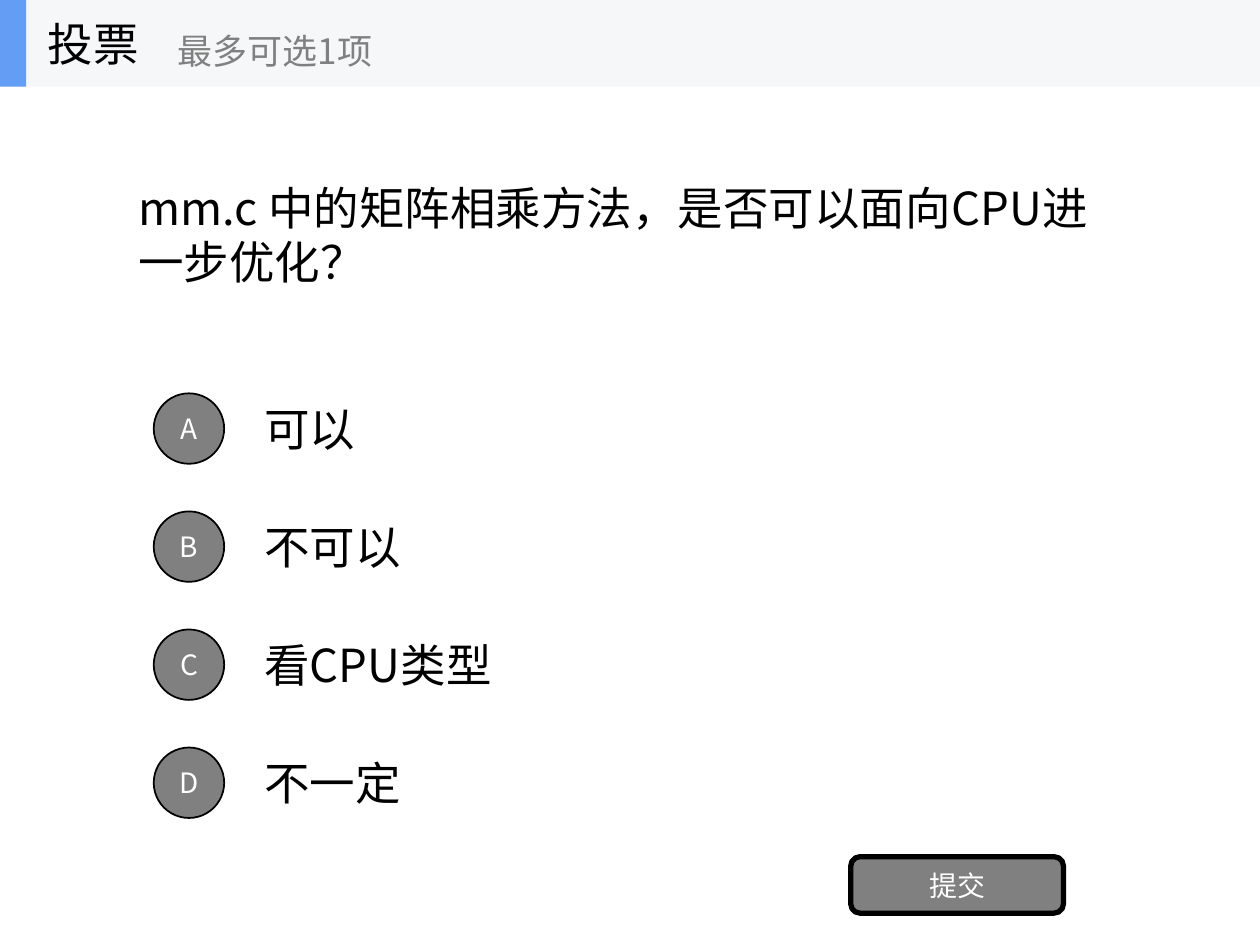
from pptx import Presentation
from pptx.dml.color import RGBColor
from pptx.enum.shapes import MSO_SHAPE as Preset
from pptx.enum.text import MSO_ANCHOR as Anchor, PP_ALIGN as Align
from pptx.oxml.ns import qn
from pptx.util import Cm, Pt
from lxml.etree import SubElement

FONT = "Noto Sans CJK SC"
BLACK, WHITE, GRAY = "000000", "FFFFFF", "808080"
OPTIONS = ["可以", "不可以", "看CPU类型", "不一定"]
OPTION_TOP, OPTION_HEIGHT, OPTION_PITCH = 7.75, 1.78, 2.38
BADGE_SIZE = 1.42
HEADER_HEIGHT = 1.75


def color(hex_value):
    return RGBColor.from_string(hex_value)


def write(frame, wording, size, hex_value, align=Align.LEFT):
    frame.word_wrap = True
    frame.vertical_anchor = Anchor.MIDDLE
    paragraph = frame.paragraphs[0]
    paragraph.alignment = align
    run = paragraph.add_run()
    run.text = wording
    run.font.size = Pt(size)
    run.font.name = FONT
    run.font.color.rgb = color(hex_value)
    SubElement(run.font._element, qn("a:ea"), typeface=FONT)


def add_label(slide, box, wording, size=26, hex_value=BLACK):
    label = slide.shapes.add_textbox(*map(Cm, box))
    write(label.text_frame, wording, size, hex_value)


def add_block(slide, preset, box, fill):
    block = slide.shapes.add_shape(preset, *map(Cm, box))
    block.shadow.inherit = False
    block.fill.solid()
    block.fill.fore_color.rgb = color(fill)
    block.line.fill.background()
    return block


def add_button(slide, preset, box, caption, border):
    button = add_block(slide, preset, box, GRAY)
    button.line.color.rgb = color(BLACK)
    button.line.width = Pt(border)
    frame = button.text_frame
    frame.margin_left = frame.margin_right = 0
    frame.margin_top = frame.margin_bottom = 0
    write(frame, caption, 16, WHITE, Align.CENTER)


def add_option(slide, index, wording):
    top = OPTION_TOP + index * OPTION_PITCH
    badge_top = top + (OPTION_HEIGHT - BADGE_SIZE) / 2
    add_label(slide, (5.08, top, 17.78, OPTION_HEIGHT), wording)
    add_button(slide, Preset.OVAL, (3.1, badge_top, BADGE_SIZE, BADGE_SIZE),
               "ABCD"[index], 1)


def add_header(slide):
    add_block(slide, Preset.RECTANGLE, (0, 0, 25.4, HEADER_HEIGHT), "F6F7F8")
    add_block(slide, Preset.RECTANGLE, (0, 0, 0.53, HEADER_HEIGHT), "639EF4")
    add_label(slide, (0.71, 0, 5.28, HEADER_HEIGHT), "投票")
    add_label(slide, (3.33, 0.3, 6.35, 1.42), "最多可选1项", 20, GRAY)


def main():
    deck = Presentation()
    deck.slide_width, deck.slide_height = Cm(25.4), Cm(19.05)
    slide = deck.slides.add_slide(deck.slide_layouts[6])
    add_label(slide, (2.54, 1.75, 20.32, 5.94),
              "mm.c 中的矩阵相乘方法，是否可以面向CPU进一步优化？")
    for index, wording in enumerate(OPTIONS):
        add_option(slide, index, wording)
    add_button(slide, Preset.ROUNDED_RECTANGLE, (17.15, 17.27, 4.29, 1.14),
               "提交", 3)
    add_header(slide)
    deck.save("out.pptx")


if __name__ == "__main__":
    main()
